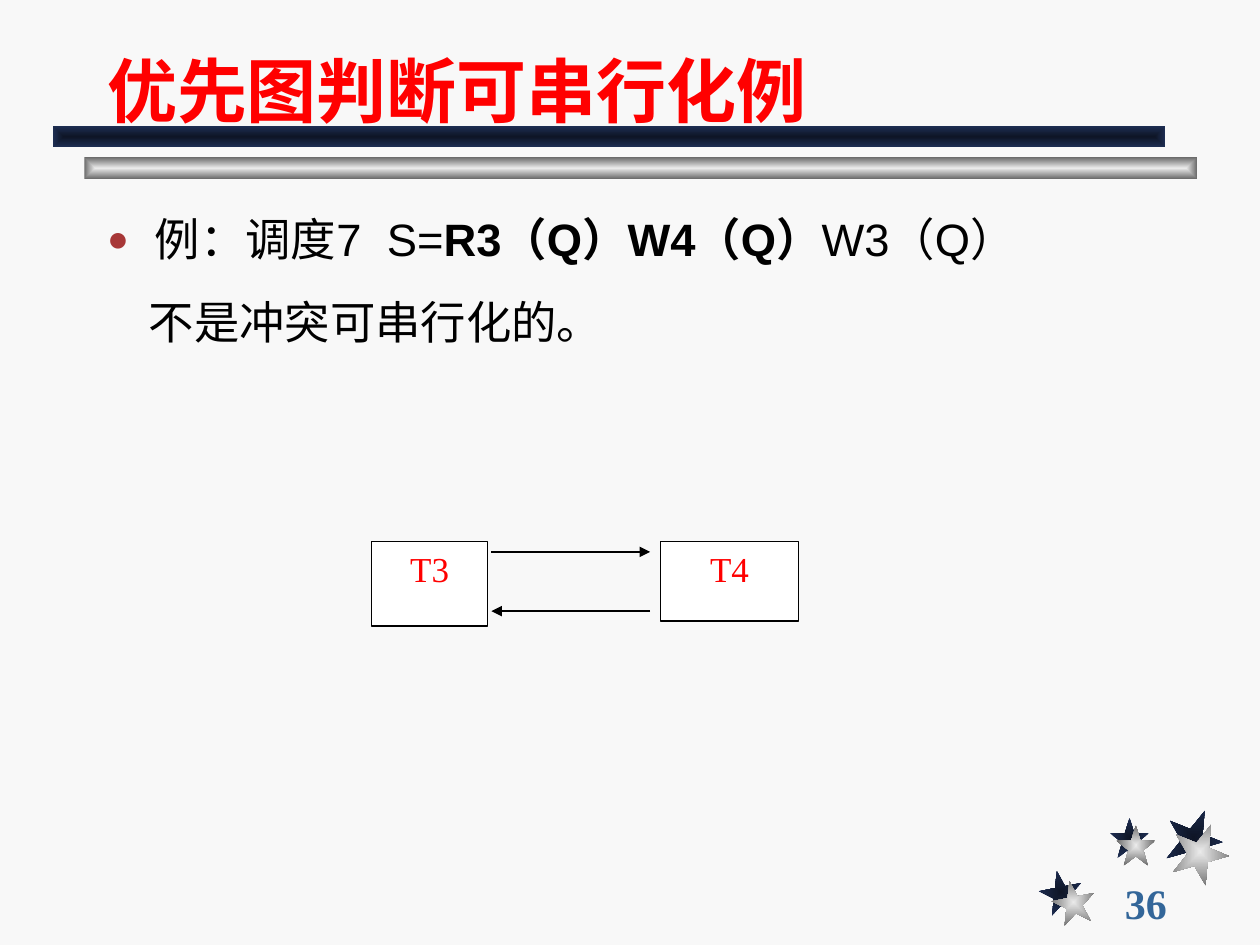
from dataclasses import dataclass

from lxml import etree
from pptx import Presentation
from pptx.dml.color import RGBColor
from pptx.enum.shapes import MSO_CONNECTOR, MSO_SHAPE
from pptx.enum.text import MSO_ANCHOR, MSO_AUTO_SIZE, PP_ALIGN
from pptx.oxml.ns import qn
from pptx.util import Inches, Pt

RECTANGLE = MSO_SHAPE.RECTANGLE
STAR = MSO_SHAPE.STAR_5_POINT
STRAIGHT = MSO_CONNECTOR.STRAIGHT
TOP, MIDDLE, BOTTOM = MSO_ANCHOR.TOP, MSO_ANCHOR.MIDDLE, MSO_ANCHOR.BOTTOM
LEFT, CENTER = PP_ALIGN.LEFT, PP_ALIGN.CENTER

COLORS = {
    "background": "F8F8F8",
    "title": "FF0000",
    "text": "000000",
    "bullet": "A73737",
    "number": "336699",
    "node": "FFFFFF",
    "node_text": "FF0000",
    "line": "000000",
}
NAVY = ("0E1526", "1E2E53")
SILVER = ("EAEAEA", "6C6C6C")


@dataclass
class Ornament:
    kind: int
    left: float
    top: float
    width: float
    height: float
    gradient: tuple[str, str]
    rotation: float = 0


@dataclass
class Node:
    label: str
    left: float
    width: float
    height: float


@dataclass
class Edge:
    start: float
    end: float
    y: float


ORNAMENTS = [
    Ornament(STAR, 8.25, 6.91, 0.34, 0.34, NAVY, -11),
    Ornament(STAR, 8.81, 6.49, 0.31, 0.32, NAVY),
    Ornament(STAR, 9.25, 6.42, 0.45, 0.46, NAVY, 22),
    Ornament(STAR, 8.35, 6.99, 0.34, 0.34, SILVER, -11),
    Ornament(STAR, 8.86, 6.55, 0.31, 0.32, SILVER),
    Ornament(STAR, 9.3, 6.53, 0.45, 0.46, SILVER, 22),
    Ornament(RECTANGLE, 0.67, 1.25, 8.83, 0.17, SILVER),
    Ornament(RECTANGLE, 0.42, 1, 8.83, 0.17, NAVY),
]
NODE_TOP = 4.3
NODES = [Node("T3", 2.95, 0.92, 0.67), Node("T4", 5.24, 1.1, 0.63)]
EDGES = [Edge(3.9, 5.16, 4.38), Edge(5.16, 3.9, 4.85)]


def color(name: str) -> RGBColor:
    return RGBColor.from_string(COLORS[name])


def place(shape, left: float, top: float, width: float, height: float) -> None:
    shape.left, shape.top = Inches(left), Inches(top)
    shape.width, shape.height = Inches(width), Inches(height)


def format_frame(text_frame, anchor) -> None:
    text_frame.word_wrap = True
    text_frame.auto_size = MSO_AUTO_SIZE.NONE
    text_frame.vertical_anchor = anchor


def format_runs(paragraph, size: float, font: str, color_name: str,
                bold: bool = False, align=LEFT) -> None:
    paragraph.alignment = align
    for run in paragraph.runs:
        run.font.size = Pt(size)
        run.font.name = font
        run.font.bold = bold
        run.font.color.rgb = color(color_name)


def set_bullet(paragraph, margin: float, indent: float, bulleted: bool) -> None:
    properties = paragraph._p.get_or_add_pPr()
    properties.set("marL", str(Inches(margin)))
    properties.set("indent", str(Inches(indent)))
    if not bulleted:
        etree.SubElement(properties, qn("a:buNone"))
        return
    bullet_color = etree.SubElement(properties, qn("a:buClr"))
    etree.SubElement(bullet_color, qn("a:srgbClr"), val=COLORS["bullet"])
    etree.SubElement(properties, qn("a:buSzPct"), val="80000")
    etree.SubElement(properties, qn("a:buFont"), typeface="Arial")
    etree.SubElement(properties, qn("a:buChar"), char="●")


def draw_ornament(slide, ornament: Ornament) -> None:
    shape = slide.shapes.add_shape(ornament.kind, 0, 0, 0, 0)
    place(shape, ornament.left, ornament.top, ornament.width, ornament.height)
    shape.rotation = ornament.rotation
    shape.shadow.inherit = False
    shape.line.fill.background()
    # Gradient running from the centre to the edges
    shape.fill.gradient()
    for stop, value in zip(shape.fill.gradient_stops, ornament.gradient):
        stop.color.rgb = RGBColor.from_string(value)
    gradient = shape._element.spPr.find(qn("a:gradFill"))
    gradient.remove(gradient.find(qn("a:lin")))
    center = etree.SubElement(gradient, qn("a:path"), {"path": "rect"})
    etree.SubElement(center, qn("a:fillToRect"),
                     {side: "50000" for side in "ltrb"})


def draw_node(slide, node: Node) -> None:
    shape = slide.shapes.add_shape(RECTANGLE, 0, 0, 0, 0)
    place(shape, node.left, NODE_TOP, node.width, node.height)
    shape.shadow.inherit = False
    shape.fill.solid()
    shape.fill.fore_color.rgb = color("node")
    shape.line.color.rgb = color("line")
    shape.line.width = Pt(0.75)
    format_frame(shape.text_frame, TOP)
    shape.text_frame.text = node.label
    format_runs(shape.text_frame.paragraphs[0], 20, "Times New Roman",
                "node_text", align=CENTER)


def draw_edge(slide, edge: Edge) -> None:
    connector = slide.shapes.add_connector(
        STRAIGHT, Inches(edge.start), Inches(edge.y),
        Inches(edge.end), Inches(edge.y))
    connector.line.color.rgb = color("line")
    connector.line.width = Pt(0.75)
    etree.SubElement(connector.line._get_or_add_ln(), qn("a:tailEnd"),
                     type="triangle")
    etree.SubElement(connector._element.spPr, qn("a:effectLst"))


def fill_title(title) -> None:
    place(title, 0.75, 0.17, 8.5, 0.92)
    format_frame(title.text_frame, BOTTOM)
    title.text_frame.text = "优先图判断可串行化例"
    format_runs(title.text_frame.paragraphs[0], 40, "Arial", "title", bold=True)


def fill_body(body) -> None:
    place(body, 0.75, 1.5, 8.27, 1.86)
    format_frame(body.text_frame, TOP)
    example = body.text_frame.paragraphs[0]
    for text in ("例：调度7  S=", "R3（Q）W4（Q）", "W3（Q）"):
        example.add_run().text = text
    conclusion = body.text_frame.add_paragraph()
    conclusion.text = "不是冲突可串行化的。"
    set_bullet(example, 0.38, -0.38, True)
    set_bullet(conclusion, 0.33, 0, False)
    for paragraph, space in ((example, 0), (conclusion, 7)):
        paragraph.line_spacing = 1.3
        paragraph.space_before = Pt(space)
        format_runs(paragraph, 25.9, "Arial", "text")
    example.runs[1].font.bold = True


def draw_slide_number(slide) -> None:
    box = slide.shapes.add_textbox(0, 0, 0, 0)
    place(box, 8.83, 7, 1.08, 0.33)
    format_frame(box.text_frame, MIDDLE)
    box.text_frame.text = "36"
    format_runs(box.text_frame.paragraphs[0], 24, "Times New Roman",
                "number", bold=True)


def main() -> None:
    presentation = Presentation()
    presentation.slide_width = Inches(10)
    presentation.slide_height = Inches(7.5)
    slide = presentation.slides.add_slide(presentation.slide_layouts[1])
    slide.background.fill.solid()
    slide.background.fill.fore_color.rgb = color("background")

    # Stars and title bars
    for ornament in ORNAMENTS:
        draw_ornament(slide, ornament)

    # Text
    fill_title(slide.shapes.title)
    fill_body(slide.placeholders[1])
    draw_slide_number(slide)

    # Precedence graph
    for node in NODES:
        draw_node(slide, node)
    for edge in EDGES:
        draw_edge(slide, edge)

    presentation.save("out.pptx")


if __name__ == "__main__":
    main()
